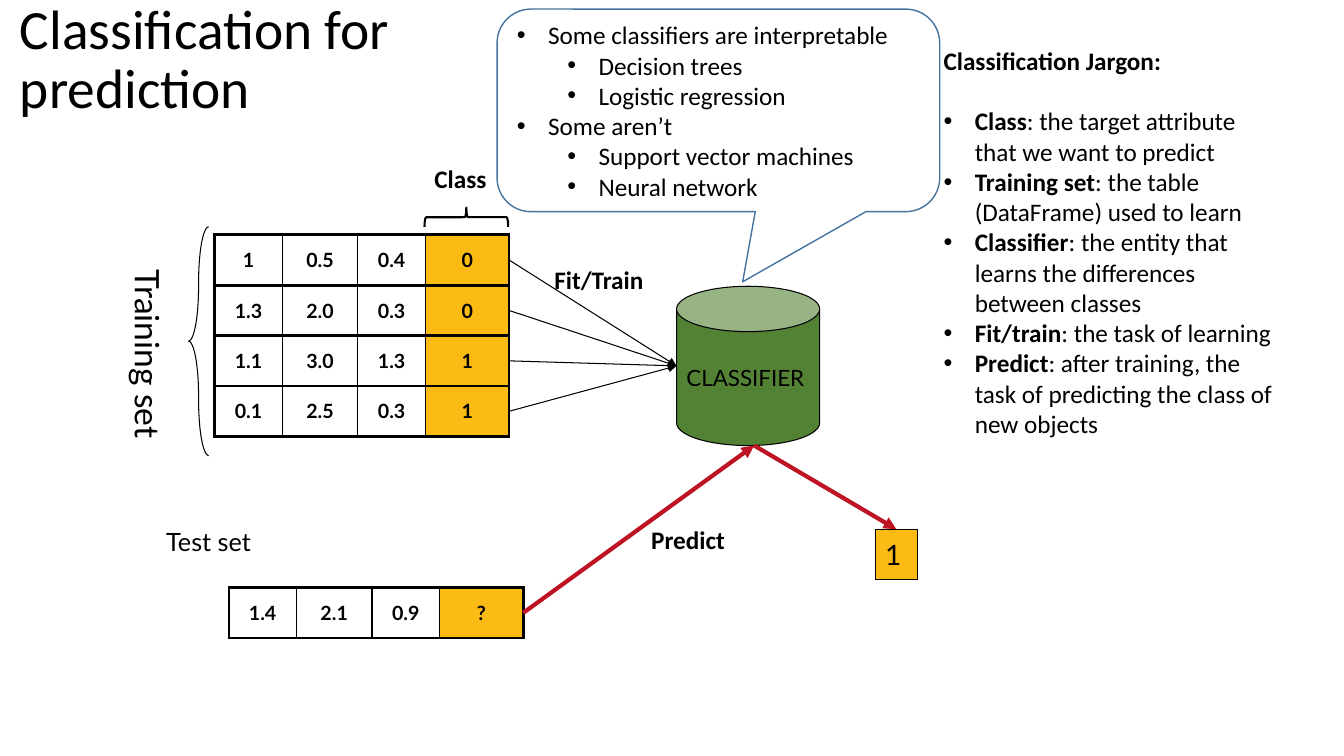
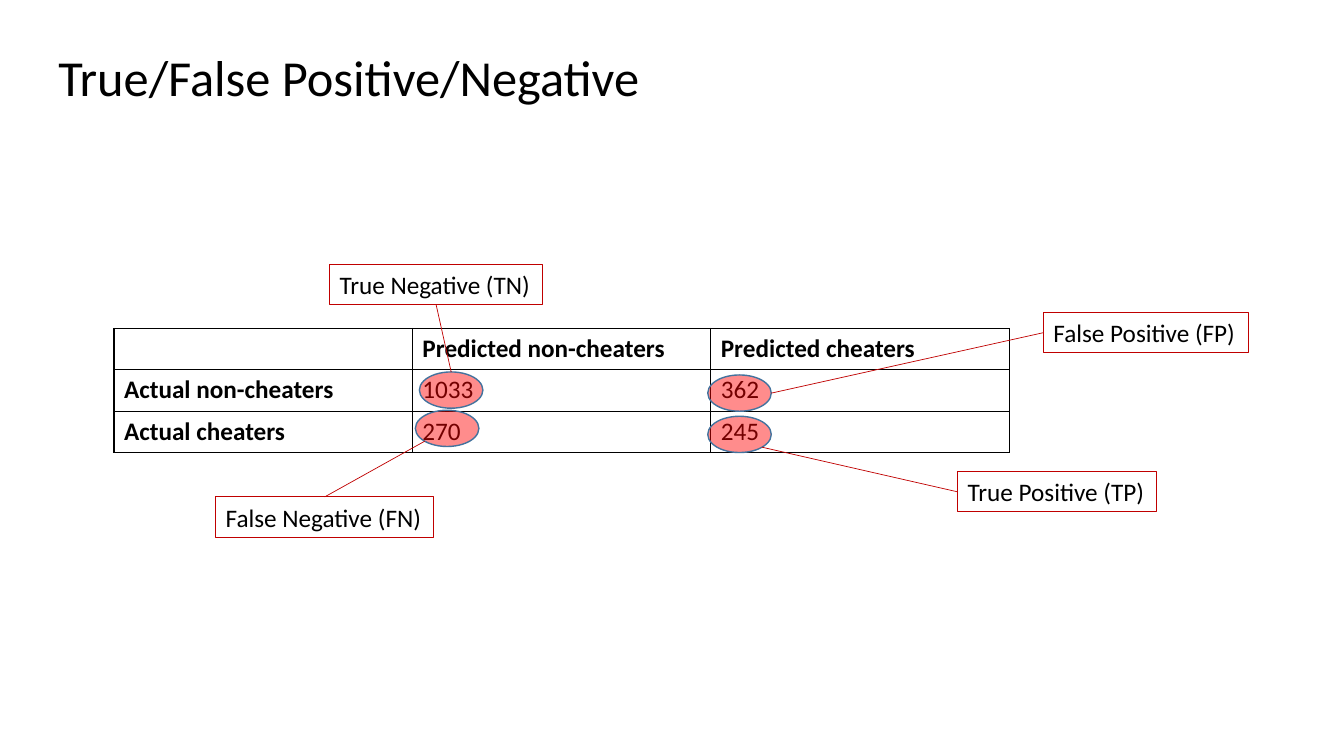
import pptx
import pptx.util
import pptx.dml.color
import pptx.enum.shapes
import pptx.enum.text
import pptx.oxml
import pptx.oxml.ns
from lxml import etree

Inches, Pt = pptx.util.Inches, pptx.util.Pt
SHAPE = pptx.enum.shapes.MSO_SHAPE
ANCHOR = pptx.enum.text.MSO_ANCHOR
ALIGN = pptx.enum.text.PP_ALIGN


class Theme:
    black, red, crimson = "000000", "C00000", "BE1323"
    amber, green, blue, highlight = "FCBA14", "548235", "43739E", "FF0000"
    body_font, diagram_font = "Calibri", "Lato"
    body, cell, classifier, result, vertical = 18, 14, 16, 20, 24
    thin, rule, brace, heavy, bold_arrow = 0.75, 1, 1.5, 2.25, 3
    leader = 0.5


# Content: classification slide
TRAINING_RECORDS = [
    ("1", "0.5", "0.4", "0"),
    ("1.3", "2.0", "0.3", "0"),
    ("1.1", "3.0", "1.3", "1"),
    ("0.1", "2.5", "0.3", "1"),
]
TEST_RECORD = ("1.4", "2.1", "0.9", "?")
RECORD_COLUMNS = (0.67, 0.75, 0.67, 0.83)
RECORD_HEIGHT = 0.5
CALLOUT_POINTS = [
    (0, "Some classifiers are interpretable"),
    (1, "Decision trees"),
    (1, "Logistic regression"),
    (0, "Some aren’t"),
    (1, "Support vector machines"),
    (1, "Neural network"),
]
JARGON_HEADING = "Classification Jargon:"
JARGON = [
    ("Class", "the target attribute that we want to predict"),
    ("Training set", "the table (DataFrame) used to learn"),
    ("Classifier", "the entity that learns the differences between classes"),
    ("Fit/train", "the task of learning"),
    ("Predict", "after training, the task of predicting the class of new objects"),
]
BOLD_LABELS = [
    ("Class", (4.21, 1.57, 0.72, 0.4)),
    ("Fit/Train", (5.4, 2.57, 1.09, 0.4)),
    ("Predict", (6.36, 5.15, 0.94, 0.4)),
]

# Content: confusion matrix slide
CONFUSION_MATRIX = [
    ("", "Predicted non-cheaters", "Predicted cheaters"),
    ("Actual non-cheaters", "1033", "362"),
    ("Actual cheaters", "270", "245"),
]
# Text, label box, oval corner, then where the leader meets oval and label
OUTCOMES = [
    ("True Positive (TP)", (9.5, 4.68, 1.97, 0.4), (7.02, 4.13), (0.85, 0.85), (0, 0.5)),
    ("False Positive (FP)", (10.35, 3.1, 2.03, 0.4), (7.02, 3.72), (1, 0.5), (0, 0.5)),
    ("True Negative (TN)", (3.27, 2.62, 2.11, 0.4), (4.16, 3.69), (0.5, 0), (0.5, 1)),
    ("False Negative (FN)", (2.14, 4.93, 2.16, 0.4), (4.12, 4.07), (0.15, 0.85), (0.5, 0)),
]


# Formatting helpers
def rgb(color):
    return pptx.dml.color.RGBColor.from_string(color)


def add_xml(parent, tag, **attributes):
    child = etree.SubElement(parent, pptx.oxml.ns.qn(tag))
    for name, value in attributes.items():
        child.set(name, str(value))
    return child


def style_run(run, size, font=Theme.body_font, bold=False):
    run.font.size = Pt(size)
    run.font.name = font
    run.font.bold = bold
    run.font.color.rgb = rgb(Theme.black)


def set_text(text_frame, text, size=Theme.body, font=Theme.body_font, bold=False,
             align=ALIGN.LEFT):
    text_frame.text = text
    for paragraph in text_frame.paragraphs:
        paragraph.alignment = align
        for run in paragraph.runs:
            style_run(run, size, font, bold)


def add_bullet(paragraph, level=0):
    paragraph.level = level
    paragraph.alignment = ALIGN.LEFT
    properties = paragraph._p.get_or_add_pPr()
    properties.set("marL", str(Inches(0.31 + 0.5 * level)))
    properties.set("indent", str(Inches(-0.31)))
    add_xml(properties, "a:buFont", typeface="Arial")
    add_xml(properties, "a:buChar", char="•")


# Object helpers
def add_text(slide, box, text, wrap=True, **style):
    shape = slide.shapes.add_textbox(*map(Inches, box))
    shape.text_frame.word_wrap = wrap
    if not wrap:
        shape.text_frame.auto_size = pptx.enum.text.MSO_AUTO_SIZE.SHAPE_TO_FIT_TEXT
    set_text(shape.text_frame, text, **style)
    return shape


def add_title(slide, box, text, size):
    title = add_text(slide, box, text, size=size)
    title.text_frame.vertical_anchor = ANCHOR.MIDDLE
    title.text_frame.paragraphs[0].line_spacing = 0.9


def add_shape(slide, kind, box, line, width, fill=None, adjustments=()):
    shape = slide.shapes.add_shape(kind, *map(Inches, box))
    shape.shadow.inherit = False
    shape.line.color.rgb = rgb(line)
    shape.line.width = Pt(width)
    if fill:
        shape.fill.solid()
        shape.fill.fore_color.rgb = rgb(fill)
    else:
        shape.fill.background()
    for index, value in enumerate(adjustments):
        shape.adjustments[index] = value
    return shape


def label_shape(shape, text, **style):
    shape.text_frame.word_wrap = False
    shape.text_frame.vertical_anchor = ANCHOR.MIDDLE
    set_text(shape.text_frame, text, **style)


def point_on(shape, across, down):
    return (int(shape.left + across * shape.width),
            int(shape.top + down * shape.height))


def add_line(slide, start, end, color, width, arrow=False):
    connector = slide.shapes.add_connector(
        pptx.enum.shapes.MSO_CONNECTOR.STRAIGHT, *start, *end)
    connector.line.color.rgb = rgb(color)
    connector.line.width = Pt(width)
    if arrow:
        add_xml(connector.line._get_or_add_ln(), "a:tailEnd", type="triangle")
    add_xml(connector.element.spPr, "a:effectLst")


def add_table(slide, left, top, columns, row_height, rows):
    frame = slide.shapes.add_table(
        len(rows), len(columns), Inches(left), Inches(top),
        Inches(sum(columns)), Inches(row_height * len(rows)))
    table = frame.table
    table.first_row = table.horz_banding = False
    for column, width in zip(table.columns, columns):
        column.width = Inches(width)
    for row in table.rows:
        row.height = Inches(row_height)
    return frame


def style_cell(cell, borders, fill=None):
    properties = cell._tc.get_or_add_tcPr()
    for side, width in zip("LRTB", borders):
        border = add_xml(properties, f"a:ln{side}", w=Pt(width))
        add_xml(add_xml(border, "a:solidFill"), "a:srgbClr", val=Theme.black)
    if fill:
        cell.fill.solid()
        cell.fill.fore_color.rgb = rgb(fill)
    else:
        cell.fill.background()


def add_record(slide, left, top, values):
    frame = add_table(slide, left, top, RECORD_COLUMNS, RECORD_HEIGHT, [values])
    last = len(values) - 1
    for index, value in enumerate(values):
        cell = frame.table.cell(0, index)
        left_width = Theme.heavy if index == 0 else Theme.rule
        right_width = Theme.heavy if index == last else Theme.rule
        style_cell(cell, (left_width, right_width, Theme.heavy, Theme.heavy),
                   Theme.amber if index == last else None)
        cell.vertical_anchor = ANCHOR.MIDDLE
        set_text(cell.text_frame, value, Theme.cell, Theme.diagram_font, True, ALIGN.CENTER)
    return frame


# Slides
def build_classification(slide):
    add_title(slide, (0.1, 0.18, 4.64, 0.85), "Classification for prediction", 39.6)

    # Training and test data
    records = [add_record(slide, 2.13, 2.33 + row * RECORD_HEIGHT, values)
               for row, values in enumerate(TRAINING_RECORDS)]
    test_record = add_record(slide, 2.27, 5.83, TEST_RECORD)
    add_shape(slide, SHAPE.LEFT_BRACE, (1.87, 2.25, 0.2, 2.27), Theme.black, Theme.thin,
              adjustments=(2.75, 0.5))
    class_brace = add_shape(slide, SHAPE.LEFT_BRACE, (4.53, 1.74, 0.19, 0.83),
                            Theme.black, Theme.brace)
    class_brace.rotation = 90
    training_label = add_text(slide, (1.12, 2.58, 0.6, 2.25), "Training set",
                              size=Theme.vertical, font=Theme.diagram_font)
    training_label.element.txBody.bodyPr.set("vert", "eaVert")
    add_text(slide, (1.55, 5.17, 7.97, 0.5), "Test set", font=Theme.diagram_font)
    for text, box in BOLD_LABELS:
        add_text(slide, box, text, wrap=False, bold=True)

    # Classifier, its result and the arrows
    classifier = add_shape(slide, SHAPE.CAN, (6.71, 2.84, 1.42, 1.58), Theme.black,
                           Theme.thin, Theme.green, (0.317,))
    label_shape(classifier, "CLASSIFIER", size=Theme.classifier, font=Theme.diagram_font)
    result = add_shape(slide, SHAPE.RECTANGLE, (8.68, 5.25, 0.42, 0.5), Theme.black,
                       Theme.thin, Theme.amber)
    label_shape(result, "1", size=Theme.result, font=Theme.diagram_font)
    for record in records:
        add_line(slide, point_on(record, 1, 0.5), point_on(classifier, 0, 0.5),
                 Theme.black, Theme.thin, arrow=True)
    outlet = Inches(7.48), Inches(4.42)
    for start, end in ((point_on(test_record, 1, 0.5), outlet),
                       (outlet, point_on(result, 0.5, 0))):
        add_line(slide, start, end, Theme.crimson, Theme.bold_arrow, arrow=True)

    # Jargon list
    jargon = add_text(slide, (9.26, 0.4, 3.48, 4.04), JARGON_HEADING, bold=True).text_frame
    jargon.paragraphs[0].space_after = Pt(Theme.body * 1.2)
    for term, meaning in JARGON:
        paragraph = jargon.add_paragraph()
        add_bullet(paragraph)
        for text, bold in ((term, True), (f": {meaning}", False)):
            run = paragraph.add_run()
            run.text = text
            style_run(run, Theme.body, bold=bold)

    # Callout
    callout = add_shape(slide, SHAPE.ROUNDED_RECTANGULAR_CALLOUT, (4.93, 0.09, 4.39, 2.01),
                        Theme.blue, Theme.rule, adjustments=(0.055, 0.846, 0.167))
    callout.text_frame.word_wrap = True
    callout.text_frame.vertical_anchor = ANCHOR.MIDDLE
    set_text(callout.text_frame, "\n".join(text for _, text in CALLOUT_POINTS))
    for paragraph, (level, _) in zip(callout.text_frame.paragraphs, CALLOUT_POINTS):
        add_bullet(paragraph, level)


def build_confusion_matrix(slide):
    add_title(slide, (0.48, 0.25, 11.5, 1.09), "True/False Positive/Negative", 36)

    # Matrix with bold headings
    table = add_table(slide, 1.13, 3.26, (2.96,) * 3, 0.41, CONFUSION_MATRIX).table
    for row, values in enumerate(CONFUSION_MATRIX):
        for column, value in enumerate(values):
            cell = table.cell(row, column)
            style_cell(cell, (Theme.rule,) * 4)
            set_text(cell.text_frame, value, bold=row == 0 or column == 0)

    # Highlighted counts and their names
    for text, box, corner, oval_site, label_site in OUTCOMES:
        oval = add_shape(slide, SHAPE.OVAL, (*corner, 0.63, 0.36), Theme.blue, Theme.rule,
                         Theme.highlight)
        color = oval.element.spPr.find(".//" + pptx.oxml.ns.qn("a:srgbClr"))
        add_xml(color, "a:alpha", val=45000)
        label = add_shape(slide, SHAPE.RECTANGLE, box, Theme.red, Theme.thin)
        label_shape(label, text)
        add_line(slide, point_on(oval, *oval_site), point_on(label, *label_site),
                 Theme.red, Theme.leader)


def main():
    presentation = pptx.Presentation()
    presentation.slide_width, presentation.slide_height = Inches(13.33), Inches(7.5)
    for build in (build_classification, build_confusion_matrix):
        build(presentation.slides.add_slide(presentation.slide_layouts[6]))
    presentation.save("out.pptx")


if __name__ == "__main__":
    main()
